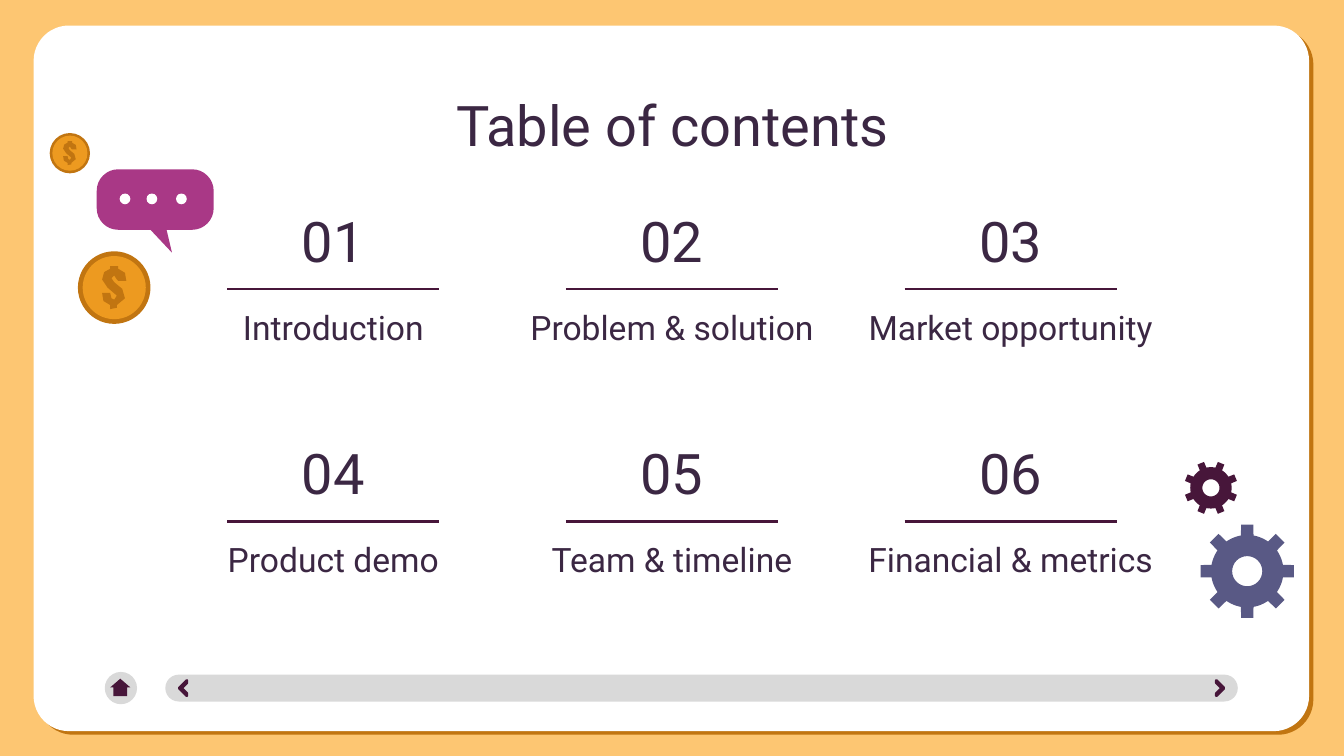
import math

import pptx
import pptx.dml.color
import pptx.enum.shapes
import pptx.enum.text
import pptx.oxml
import pptx.oxml.ns
import pptx.util

Inches = pptx.util.Inches
Pt = pptx.util.Pt
SHAPE = pptx.enum.shapes.MSO_SHAPE
ANCHOR = pptx.enum.text.MSO_ANCHOR

COLORS = {
    "background": "FDC672", "panel": "FFFFFF", "text": "3B2743",
    "plum": "47163A", "bar": "D9D9D9", "slate": "595985",
    "magenta": "A93886", "gold": "ED9A20", "bronze": "C17511",
}
SECTIONS = [
    "Introduction", "Problem & solution", "Market opportunity",
    "Product demo", "Team & timeline", "Financial & metrics",
]
COLUMNS = 3
COLUMN_WIDTH, ROW_PITCH = 2.52, 1.73

# Hundredths of an inch from the centre of a coin with radius 0.27
DOLLAR_OUTLINE = [
    (2, -16), (-3, -16), (-3, -14), (-7.5, -11.5), (-9, -6), (-5, 0),
    (2, 6), (0, 9), (-2, 8), (-3, 4), (-9, 4), (-8, 10), (-3, 13),
    (-3, 16), (2, 15), (2, 13), (8, 8), (6, 1), (0, -4), (-2, -7),
    (0, -9), (2, -6), (3, -5), (9, -5), (8, -11), (3, -14), (3, -16),
]


def rgb(name):
    return pptx.dml.color.RGBColor.from_string(COLORS[name])


def paint(shape, color):
    shape.shadow.inherit = False
    shape.fill.solid()
    shape.fill.fore_color.rgb = rgb(color)
    shape.line.fill.background()
    return shape


def add_preset(slide, kind, box, color, adjustments=(), rotation=0):
    shape = slide.shapes.add_shape(kind, *map(Inches, box))
    for index, value in enumerate(adjustments):
        shape.adjustments[index] = value
    shape.rotation = rotation
    return paint(shape, color)


def add_circle(slide, x, y, radius, color):
    box = (x - radius, y - radius, 2 * radius, 2 * radius)
    add_preset(slide, SHAPE.OVAL, box, color)


def add_outline(slide, contours, color):
    """Draw closed contours as one shape; inner contours become holes."""
    first, *inner = [[(Inches(x), Inches(y)) for x, y in contour]
                     for contour in contours]
    builder = slide.shapes.build_freeform(*first[0])
    builder.add_line_segments(first[1:], close=True)
    for contour in inner:
        builder.move_to(*contour[0])
        builder.add_line_segments(contour[1:], close=True)
    paint(builder.convert_to_shape(), color)


def arc(x, y, radius, start, end, steps=8):
    """Points on a circle, with angles in degrees clockwise from the right."""
    angles = [math.radians(start + (end - start) * step / steps)
              for step in range(steps + 1)]
    return [(x + radius * math.cos(a), y + radius * math.sin(a)) for a in angles]


def write(frame, text, size, anchor):
    frame.word_wrap = True
    frame.auto_size = pptx.enum.text.MSO_AUTO_SIZE.NONE
    frame.vertical_anchor = anchor
    frame.margin_left = frame.margin_right = Inches(0.1)
    frame.margin_top = frame.margin_bottom = Inches(0.1)
    paragraph = frame.paragraphs[0]
    paragraph.alignment = pptx.enum.text.PP_ALIGN.CENTER
    run = paragraph.add_run()
    run.text = text
    run.font.name = "Roboto"
    run.font.size = Pt(size)
    run.font.color.rgb = rgb("text")


def add_text(slide, text, box, size, anchor):
    textbox = slide.shapes.add_textbox(*map(Inches, box))
    write(textbox.text_frame, text, size, anchor)


def add_panel(slide):
    panel = add_preset(slide, SHAPE.ROUNDED_RECTANGLE, (0.25, 0.19, 9.49, 5.25),
                       "panel", [0.05])
    effects = panel._element.spPr.find(pptx.oxml.ns.qn("a:effectLst"))
    effects.append(pptx.oxml.parse_xml(
        f'<a:outerShdw {pptx.oxml.ns.nsdecls("a")} blurRad="0" dist="{Pt(3)}" '
        f'dir="{40 * 60000}" algn="bl" rotWithShape="0">'
        f'<a:srgbClr val="{COLORS["bronze"]}"/></a:outerShdw>'))


def add_navigation(slide):
    add_preset(slide, SHAPE.ROUNDED_RECTANGLE, (1.23, 5.02, 7.98, 0.2), "bar", [0.5])
    for left, rotation in ((1.35, 315), (9.01, 135)):
        chevron = add_preset(slide, SHAPE.HALF_FRAME, (left, 5.08, 0.08, 0.08),
                             "plum", [0.15, 0.15], rotation)
        chevron.line.color.rgb = rgb("plum")
        chevron.line.width = Pt(1.5)
    add_circle(slide, 0.9, 5.12, 0.12, "bar")
    add_preset(slide, SHAPE.RIGHT_ARROW, (0.83, 5.04, 0.13, 0.15), "plum",
               [0.67, 0.5], 270)


def add_title(slide, text):
    title = slide.shapes.title
    title.left, title.top = Inches(0.79), Inches(0.57)
    title.width, title.height = Inches(8.43), Inches(0.63)
    write(title.text_frame, text, 30, ANCHOR.TOP)
    # Bring the title in front of the panel
    slide.shapes._spTree.append(title._element)


def add_rule(slide, center, y):
    rule = slide.shapes.add_connector(
        pptx.enum.shapes.MSO_CONNECTOR.STRAIGHT, Inches(center - 0.79), Inches(y),
        Inches(center + 0.79), Inches(y))
    rule.line.color.rgb = rgb("plum")
    rule.line.width = Pt(1.5)
    rule._element.spPr.append(pptx.oxml.parse_xml(
        f'<a:effectLst {pptx.oxml.ns.nsdecls("a")}/>'))


def add_section(slide, index, name):
    row, column = divmod(index, COLUMNS)
    left = 1.22 + column * COLUMN_WIDTH
    center = left + COLUMN_WIDTH / 2
    top = 1.54 + row * ROW_PITCH
    add_text(slide, f"{index + 1:02}", (center - 0.4, top, 0.8, 0.49), 30,
             ANCHOR.MIDDLE)
    add_rule(slide, center, top + 0.61)
    add_text(slide, name, (left, top + 0.64, COLUMN_WIDTH, 0.49), 18, ANCHOR.TOP)


def add_gear(slide, x, y, radius, turn, color):
    """Draw an eight-toothed gear with a round hole."""
    rim = []
    for tooth in range(8):
        angle = turn + tooth * 45
        rim += arc(x, y, radius, angle - 7.5, angle + 7.5, 1)
        rim += arc(x, y, 0.77 * radius, angle + 10, angle + 35)
    hole = arc(x, y, 0.32 * radius, 360, 0, 32)
    add_outline(slide, [rim, hole], color)


def add_speech_bubble(slide):
    tail = [(1.24, 1.71), (1.28, 1.88), (1.12, 1.71)]
    outline = (arc(0.88, 1.42, 0.16, 180, 270) + arc(1.43, 1.42, 0.16, 270, 360)
               + arc(1.43, 1.55, 0.16, 0, 90) + tail
               + arc(0.88, 1.55, 0.16, 90, 180))
    add_outline(slide, [outline], "magenta")
    for x in (0.93, 1.13, 1.35):
        add_circle(slide, x, 1.48, 0.04, "panel")


def add_coin(slide, x, y, radius):
    add_circle(slide, x, y, radius, "bronze")
    add_circle(slide, x, y, 0.87 * radius, "gold")
    scale = radius / 27
    add_outline(slide, [[(x + dx * scale, y + dy * scale)
                         for dx, dy in DOLLAR_OUTLINE]], "bronze")


def main():
    deck = pptx.Presentation()
    deck.slide_width, deck.slide_height = Inches(10), Inches(10 * 9 / 16)
    slide = deck.slides.add_slide(deck.slide_layouts.get_by_name("Title Only"))
    slide.background.fill.solid()
    slide.background.fill.fore_color.rgb = rgb("background")
    add_panel(slide)
    add_navigation(slide)
    add_title(slide, "Table of contents")
    for index, name in enumerate(SECTIONS):
        add_section(slide, index, name)
    add_gear(slide, 9.28, 4.25, 0.35, 0, "slate")
    add_gear(slide, 9.01, 3.63, 0.2, 22.5, "plum")
    add_speech_bubble(slide)
    add_coin(slide, 0.52, 1.14, 0.15)
    add_coin(slide, 0.85, 2.14, 0.27)
    deck.save("out.pptx")


if __name__ == "__main__":
    main()
